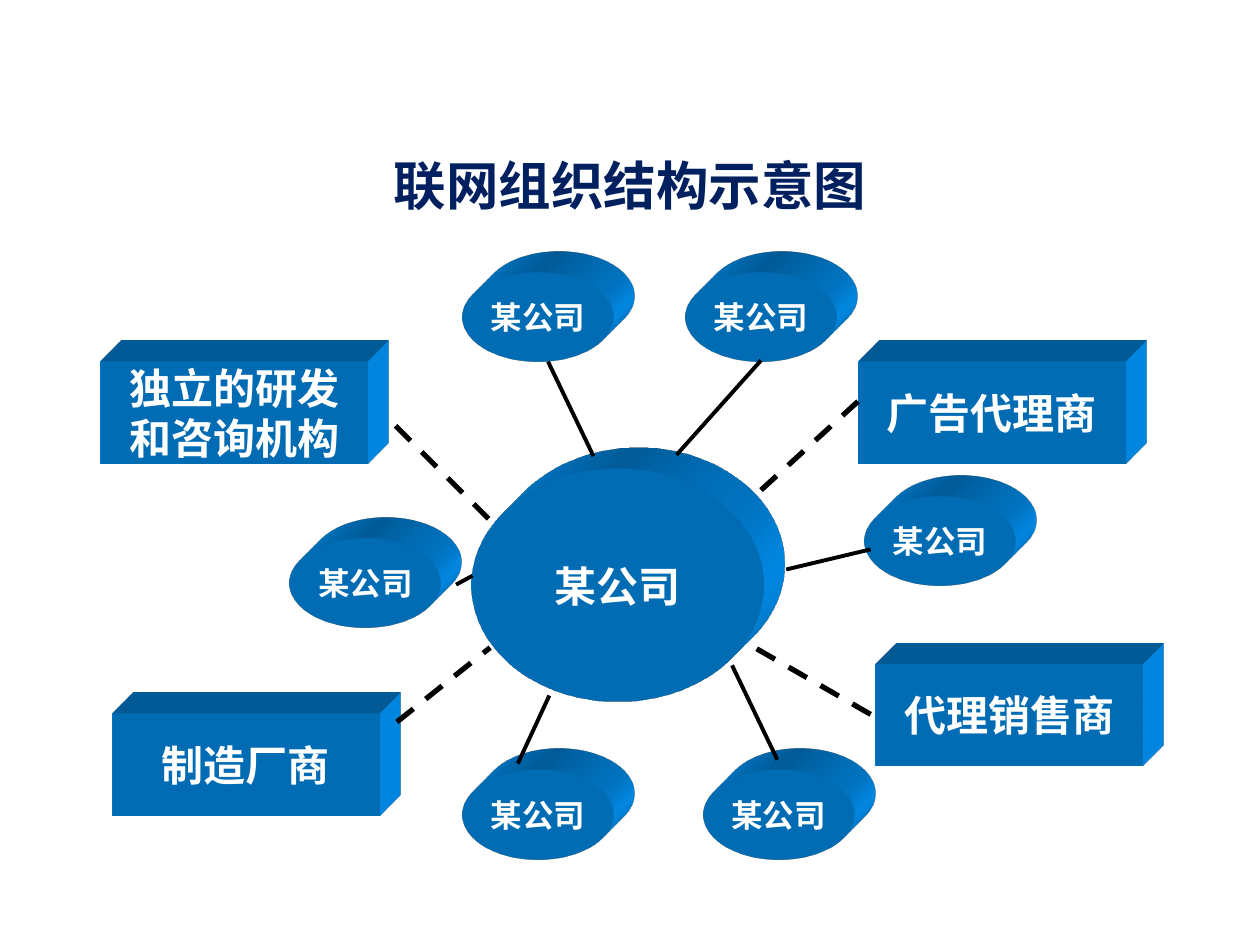
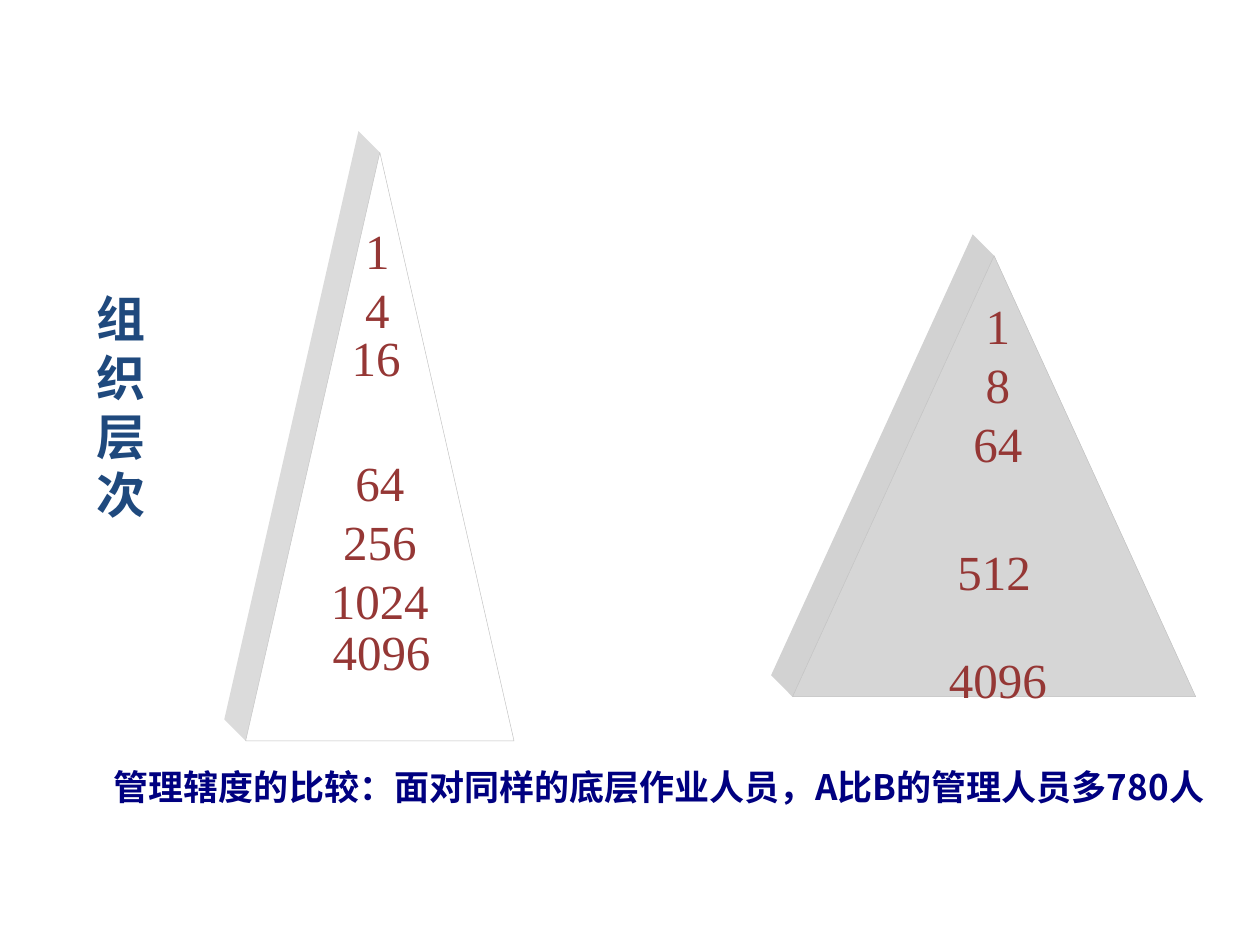
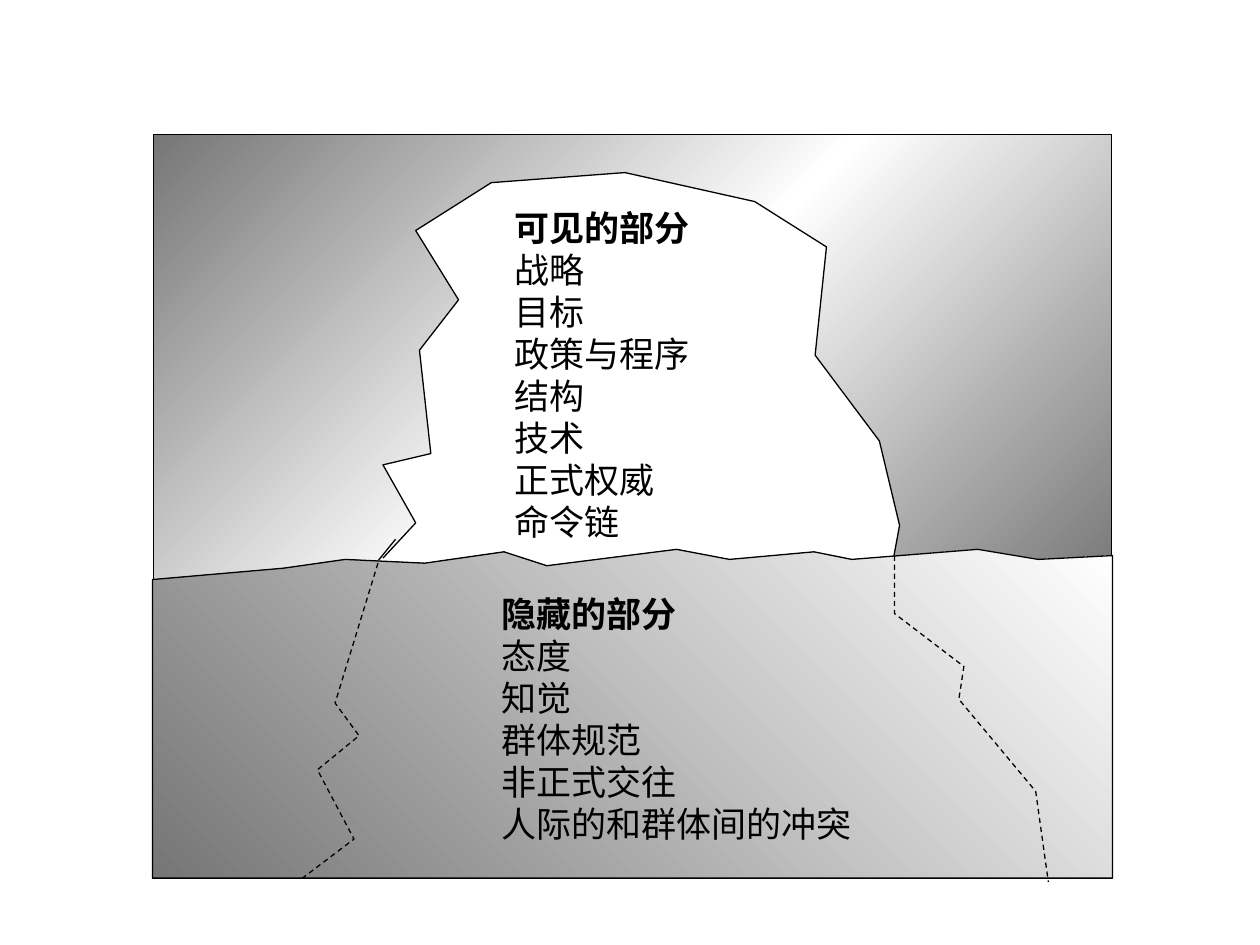
from dataclasses import dataclass

from lxml.etree import SubElement
from pptx import Presentation
from pptx.dml.color import RGBColor
from pptx.enum.dml import MSO_LINE
from pptx.enum.shapes import MSO_CONNECTOR, MSO_SHAPE
from pptx.enum.text import MSO_ANCHOR, PP_ALIGN
from pptx.oxml import parse_xml
from pptx.oxml.ns import nsdecls, qn
from pptx.util import Inches, Pt

SANS, SERIF = "Noto Sans CJK SC", "Times New Roman"
BLUE, NAVY, INK, WINE = "0099FF", "002060", "000000", "953735"
STEEL, DEEP, WHITE, GRAY = "1F497D", "000080", "FFFFFF", "767676"
MIST, ASH, FOG, RIM = "DBDBDB", "D6D6D6", "D2D2D2", "BFBFBF"
LEFT, MID, JUST = PP_ALIGN.LEFT, PP_ALIGN.CENTER, PP_ALIGN.JUSTIFY
PAD = (0.1, 0.05, 0.1, 0.05)
DEPTH = 0.17


@dataclass
class Style:
    """How a block of text looks."""
    size: float
    color: str
    font: str = SANS
    bold: bool = True
    align: PP_ALIGN = MID


@dataclass
class Node:
    """One solid block of the network."""
    kind: MSO_SHAPE
    box: tuple
    text: str
    size: float


@dataclass
class Link:
    """One line of the network."""
    start: tuple
    end: tuple
    dash: bool = False


@dataclass
class Peak:
    """One pyramid with the numbers that stand in its lower half."""
    box: tuple
    text: str
    top: float
    front: str
    side: str


@dataclass
class Note:
    """One free text box."""
    box: tuple
    text: str
    style: Style
    pad: tuple = PAD


def rgb(code: str) -> RGBColor:
    """Turn a hex string into a colour."""
    return RGBColor.from_string(code)


def inch(vals: tuple) -> list:
    """Turn numbers into lengths."""
    return [Inches(v) for v in vals]


def write(frame, text: str, style: Style, pad: tuple = PAD) -> None:
    """Fill a text frame and format its runs."""
    frame.text = text
    (frame.margin_left, frame.margin_top,
     frame.margin_right, frame.margin_bottom) = inch(pad)
    for para in frame.paragraphs:
        para.alignment = style.align
        for run in para.runs:
            font = run.font
            font.size, font.bold = Pt(style.size), style.bold
            font.name, font.color.rgb = style.font, rgb(style.color)
            SubElement(run._r.get_or_add_rPr(), qn("a:ea")).set(
                "typeface", style.font)


def add_note(slide, note: Note):
    """Place a wrapped text box and return its frame."""
    frame = slide.shapes.add_textbox(*inch(note.box)).text_frame
    frame.word_wrap = True
    write(frame, note.text, note.style, note.pad)
    return frame


def paint(shape, fill: str) -> None:
    """Give a shape a plain fill, no line and no shadow."""
    shape.fill.solid()
    shape.fill.fore_color.rgb = rgb(fill)
    shape.line.fill.background()
    shape.shadow.inherit = False


def add_node(slide, node: Node) -> None:
    """Draw an extruded network block with its label."""
    shape = slide.shapes.add_shape(node.kind, *inch(node.box))
    paint(shape, BLUE)
    props = shape._element.spPr
    props.append(parse_xml(
        f'<a:scene3d {nsdecls("a")}><a:camera prst="legacyObliqueTopRight"/>'
        '<a:lightRig rig="legacyFlat3" dir="b"/></a:scene3d>'))
    props.append(parse_xml(
        f'<a:sp3d {nsdecls("a")} extrusionH="430200" '
        'prstMaterial="legacyMatte">'
        '<a:bevelT w="13500" h="13500" prst="angle"/>'
        '<a:bevelB w="13500" h="13500" prst="angle"/>'
        f'<a:extrusionClr><a:srgbClr val="{BLUE}"/></a:extrusionClr></a:sp3d>'))
    write(shape.text_frame, node.text, Style(node.size, WHITE))
    shape.text_frame.word_wrap = False
    shape.text_frame.vertical_anchor = MSO_ANCHOR.MIDDLE


def add_link(slide, link: Link) -> None:
    """Draw a plain or dashed network line."""
    line = slide.shapes.add_connector(
        MSO_CONNECTOR.STRAIGHT, *inch(link.start + link.end))
    line.line.color.rgb = rgb(INK)
    line.line.width = Pt(3 if link.dash else 2.25)
    if link.dash:
        line.line.dash_style = MSO_LINE.DASH
    SubElement(line._element.spPr, qn("a:effectLst"))


def add_peak(slide, peak: Peak) -> None:
    """Draw a pyramid with its left face and numbers."""
    x, y, wide, high = peak.box
    tip, foot = (x + wide / 2, y), (x, y + high)
    back = [(a - DEPTH, b - DEPTH) for a, b in (foot, tip)]
    paint(add_path(slide, [tip, foot, *back], close=True), peak.side)
    shape = slide.shapes.add_shape(MSO_SHAPE.ISOSCELES_TRIANGLE,
                                   *inch(peak.box))
    paint(shape, peak.front)
    shape.line.color.rgb = rgb(RIM)
    shape.line.width = Pt(0.25)
    write(shape.text_frame, peak.text, DIGIT, (0.1, peak.top, 0.1, 0.05))
    shape.text_frame.vertical_anchor = MSO_ANCHOR.TOP


def shade(shape, stops: list, angle: int) -> None:
    """Give a shape a linear gradient of evenly spaced colours."""
    step = 100000 // (len(stops) - 1)
    marks = "".join(
        f'<a:gs pos="{i * step}"><a:srgbClr val="{code}"/></a:gs>'
        for i, code in enumerate(stops))
    shape.fill.background()
    old = shape._element.spPr.find(qn("a:noFill"))
    old.getparent().replace(old, parse_xml(
        f'<a:gradFill {nsdecls("a")} rotWithShape="1"><a:gsLst>{marks}'
        f'</a:gsLst><a:lin ang="{angle * 60000}" scaled="1"/></a:gradFill>'))


def edge(shape, dash: bool = False) -> None:
    """Give a shape a thin black outline and no shadow."""
    shape.line.color.rgb = rgb(INK)
    shape.line.width = Pt(0.75)
    if dash:
        shape.line.dash_style = MSO_LINE.DASH
    shape.shadow.inherit = False


def add_path(slide, dots: list, close: bool = False, dash: bool = False):
    """Draw a jagged outline through points given in inches."""
    first, *rest = [tuple(inch(dot)) for dot in dots]
    pen = slide.shapes.build_freeform(*first)
    pen.add_line_segments(rest, close=close)
    shape = pen.convert_to_shape()
    shape.fill.background()
    edge(shape, dash)
    return shape


def add_list(slide, box: tuple, lines: list) -> None:
    """Place a list whose first line is a bold heading."""
    frame = add_note(slide, Note(box, "\n".join(lines),
                                 Style(20, INK, align=JUST), (0, 0, 0, 0)))
    for para in frame.paragraphs[1:]:
        para.runs[0].font.bold = False


DIGIT = Style(28, WINE, SERIF, False)
ROW = Style(28, WINE, SERIF, False, LEFT)

FIRM = "某公司"
HUB = Node(MSO_SHAPE.OVAL, (3.74, 3.72, 2.32, 1.85), FIRM, 24)
BLOCKS = [Node(MSO_SHAPE.RECTANGLE, (x, y, 2.12, 0.81), text, 24)
          for x, y, text in [(0.89, 5.66, "制造厂商"),
                             (0.8, 2.87, "独立的研发\n和咨询机构"),
                             (6.81, 2.87, "广告代理商"),
                             (6.95, 5.27, "代理销售商")]]
FIRMS = [Node(MSO_SHAPE.OVAL, (x, y, 1.2, 0.71), FIRM, 18)
         for x, y in [(5.44, 2.16), (3.67, 2.16), (6.86, 3.94),
                      (5.58, 6.11), (3.67, 6.11), (2.3, 4.27)]]
LINKS = [
    Link((3.15, 5.73), (3.89, 5.14), True),
    Link((6.91, 5.67), (5.99, 5.14), True),
    Link((6.04, 3.89), (6.86, 3.14), True),
    Link((3.14, 3.38), (3.89, 4.13), True),
    Link((5.37, 3.61), (6.04, 2.86)),
    Link((4.71, 3.62), (4.35, 2.87)),
    Link((6.24, 4.52), (6.91, 4.36)),
    Link((4.11, 6.06), (4.36, 5.52)),
    Link((6.17, 6.03), (5.81, 5.28)),
    Link((3.75, 4.57), (3.62, 4.64)),
]

PEAKS = [
    Peak((6.29, 2.03, 3.2, 3.5), "512", 0.52, ASH, FOG),
    Peak((1.95, 1.21, 2.13, 4.67), "64\n256\n1024", 0.05, WHITE, MIST),
]
NOTES = [
    Note((2.16, 4.88, 1.92, 0.7), "4096", ROW, (0.48, 0.05, 0.1, 0.05)),
    Note((2.59, 2.55, 0.85, 0.7), "16", ROW, (0.2, 0.05, 0.1, 0.05)),
    Note((2.8, 1.7, 0.64, 1.17), "1\n4", ROW),
    Note((0.67, 2.24, 0.64, 3.5), "组织层次", Style(28, STEEL, align=JUST)),
]
TALLY = Note((7.28, 2.3, 1.28, 3.5), "1\n8\n64\n4096", DIGIT)
CLAIM = Note((0, 6.03, 9.73, 0.84),
             "管理辖度的比较：面对同样的底层作业人员，A比B的管理人员多780人",
             Style(20, DEEP))

BERG = [(3.04, 4.43), (3.3, 4.15), (3.04, 3.69), (3.42, 3.6), (3.33, 2.78),
        (3.64, 2.38), (3.3, 1.83), (3.9, 1.45), (4.96, 1.37), (5.99, 1.6),
        (6.56, 1.96), (6.47, 2.82), (6.98, 3.5), (7.14, 4.17), (7.07, 4.55),
        (2.88, 4.6), (3.14, 4.28)]
SEA = [(1.21, 4.6), (1.21, 6.97), (8.83, 6.97), (8.83, 4.41), (8.24, 4.44),
       (7.76, 4.36), (6.76, 4.44), (6.46, 4.38), (5.79, 4.44), (5.37, 4.36),
       (4.34, 4.49), (4, 4.38), (3.37, 4.47), (2.74, 4.44), (2.25, 4.51)]
FLANKS = [
    [(3, 4.47), (2.66, 5.58), (2.85, 5.84), (2.52, 6.11), (2.81, 6.66),
     (2.4, 6.97)],
    [(7.1, 4.41), (7.1, 4.87), (7.65, 5.29), (7.61, 5.55), (8.22, 6.28),
     (8.32, 7)],
]
SEEN = ["可见的部分", "战略", "目标", "政策与程序", "结构", "技术",
        "正式权威", "命令链"]
HIDDEN = ["隐藏的部分", "态度", "知觉", "群体规范", "非正式交往",
          "人际的和群体间的冲突"]


def draw_net(slide) -> None:
    """Build the network chart."""
    title = slide.shapes.title
    title.left, title.top, title.width, title.height = inch(
        (0.5, 1.07, 9, 0.79))
    write(title.text_frame, "联网组织结构示意图", Style(30, NAVY))
    title.text_frame.vertical_anchor = MSO_ANCHOR.MIDDLE
    for node in [HUB, *BLOCKS, *FIRMS]:
        add_node(slide, node)
    for link in LINKS:
        add_link(slide, link)


def draw_span(slide) -> None:
    """Build the two pyramids and the claim below them."""
    claim = add_note(slide, CLAIM).paragraphs[0]
    claim.space_before = Pt(4)
    props = claim._p.get_or_add_pPr()
    props.set("marL", str(Inches(0.98)))
    props.set("indent", str(Inches(-0.25)))
    for peak in PEAKS:
        add_peak(slide, peak)
    for note in NOTES:
        add_note(slide, note)
    add_note(slide, TALLY).paragraphs[-1].space_before = Pt(101)


def draw_berg(slide) -> None:
    """Build the iceberg with its seen and hidden parts."""
    sky = slide.shapes.add_shape(MSO_SHAPE.RECTANGLE,
                                 *inch((1.22, 1.07, 7.6, 3.64)))
    shade(sky, [GRAY, WHITE, GRAY], 45)
    edge(sky)
    berg = add_path(slide, BERG)
    berg.fill.solid()
    berg.fill.fore_color.rgb = rgb(WHITE)
    shade(add_path(slide, SEA, close=True), [GRAY, WHITE], 315)
    add_list(slide, (3.98, 4.7, 4.04, 2.01), HIDDEN)
    add_list(slide, (4.08, 1.64, 1.86, 2.59), SEEN)
    for flank in FLANKS:
        add_path(slide, flank, dash=True)


def main() -> None:
    """Build and save the deck."""
    deck = Presentation()
    deck.slide_width, deck.slide_height = inch((10, 7.5))
    for draw, plan in [(draw_net, 5), (draw_span, 6), (draw_berg, 6)]:
        draw(deck.slides.add_slide(deck.slide_layouts[plan]))
    deck.save("out.pptx")


main()
